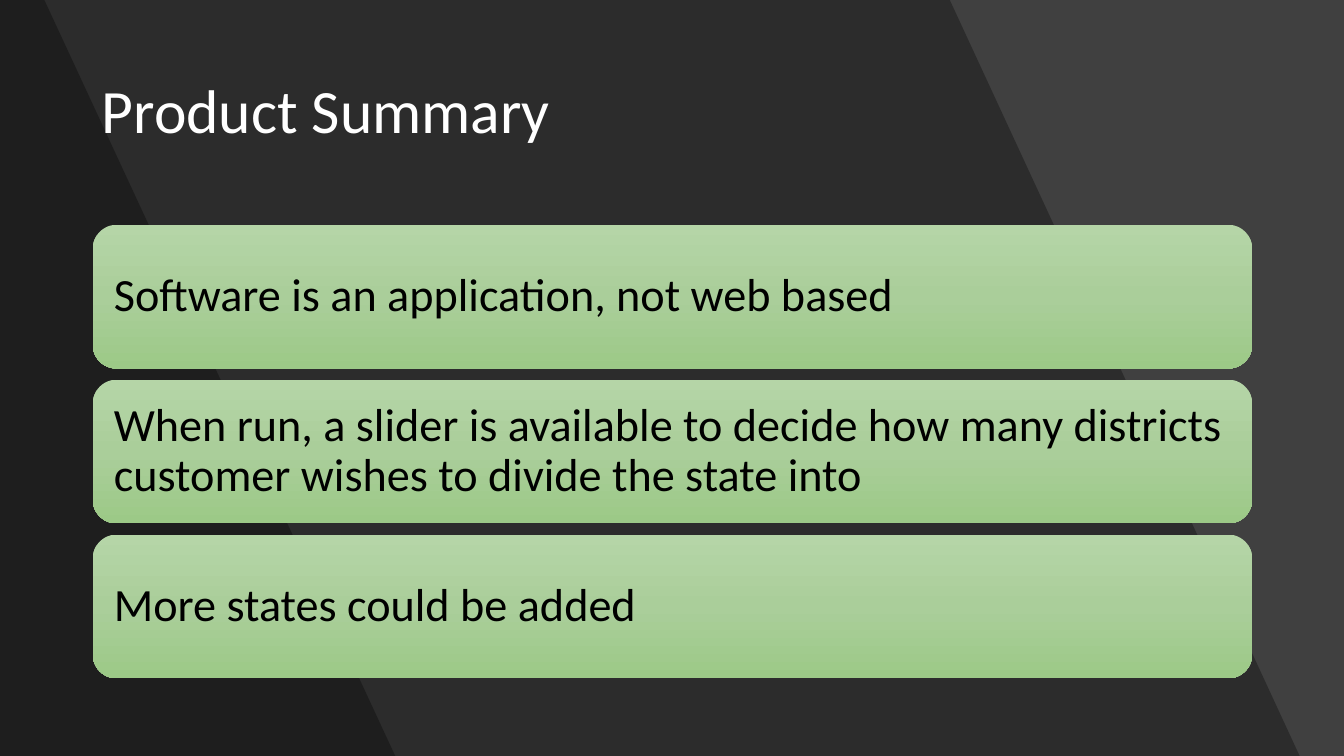
from copy import deepcopy

from lxml import etree
from pptx import Presentation
from pptx.dml.color import RGBColor
from pptx.enum import shapes, text
from pptx.oxml.ns import qn
from pptx.util import Inches, Pt

BACKGROUND = RGBColor(0x40, 0x40, 0x40)
BLACK = RGBColor(0, 0, 0)
WHITE = RGBColor(0xFF, 0xFF, 0xFF)
GREENS = [
    (0, RGBColor(0xB5, 0xD5, 0xA7)),
    (0.5, RGBColor(0xAA, 0xCE, 0x9A)),
    (1, RGBColor(0x9C, 0xC9, 0x87)),
]
FONT = "Calibri"
SUMMARY = [
    "Software is an application, not web based",
    "When run, a slider is available to decide how many districts "
    "customer wishes to divide the state into",
    "More states could be added",
]


def format_paragraph(paragraph, size, color):
    paragraph.line_spacing = 0.9
    paragraph.alignment = text.PP_ALIGN.LEFT
    for run in paragraph.runs:
        run.font.name = FONT
        run.font.size = Pt(size)
        run.font.color.rgb = color


def add_shade(slide, top_width, bottom_width, height):
    outline = slide.shapes.build_freeform(0, 0, scale=1.0)
    outline.add_line_segments([
        (Inches(top_width), 0),
        (Inches(bottom_width), Inches(height)),
        (0, Inches(height)),
    ])
    shade = outline.convert_to_shape()
    shade.shadow.inherit = False
    shade.line.fill.background()
    shade.fill.solid()
    shade.fill.fore_color.rgb = BLACK
    color = shade.fill._xPr.find(".//" + qn("a:srgbClr"))
    etree.SubElement(color, qn("a:alpha"), val="30000")


def add_title(slide, left, top, width, height):
    title = slide.shapes.title
    slide.shapes._spTree.append(title._element)
    title.left, title.top = Inches(left), Inches(top)
    title.width, title.height = Inches(width), Inches(height)
    frame = title.text_frame
    frame.text = "Product Summary"
    frame.vertical_anchor = text.MSO_ANCHOR.MIDDLE
    format_paragraph(frame.paragraphs[0], 44, WHITE)


def fill_green(card):
    card.fill.gradient()
    card.fill.gradient_angle = 270
    stop_list = card.fill._xPr.find(".//" + qn("a:gsLst"))
    stop_list.append(deepcopy(stop_list[-1]))
    for stop, (position, color) in zip(card.fill.gradient_stops, GREENS):
        stop.position = position
        stop.color.rgb = color


def add_card(slide, left, top, width, height, statement):
    card = slide.shapes.add_shape(
        shapes.MSO_SHAPE.ROUNDED_RECTANGLE,
        Inches(left), Inches(top), Inches(width), Inches(height))
    card.shadow.inherit = False
    card.line.fill.background()
    fill_green(card)
    frame = card.text_frame
    frame.text = statement
    frame.word_wrap = True
    frame.vertical_anchor = text.MSO_ANCHOR.MIDDLE
    frame.margin_left = frame.margin_right = Inches(0.14)
    frame.margin_top = frame.margin_bottom = Inches(0.14)
    format_paragraph(frame.paragraphs[0], 33, BLACK)


def add_summary(slide, left, top, width, height, gap=0.11):
    card_height = (height - gap * (len(SUMMARY) - 1)) / len(SUMMARY)
    for row, statement in enumerate(SUMMARY):
        card_top = top + row * (card_height + gap)
        add_card(slide, left, card_top, width, card_height, statement)


def main():
    deck = Presentation()
    deck.slide_width, deck.slide_height = Inches(13.33), Inches(7.5)
    slide = deck.slides.add_slide(deck.slide_layouts[5])
    slide.background.fill.solid()
    slide.background.fill.fore_color.rgb = BACKGROUND
    add_shade(slide, 9.42, 12.89, 7.5)
    add_shade(slide, 0.44, 3.92, 7.5)
    add_title(slide, 0.91, 0.4, 11.51, 1.45)
    add_summary(slide, 0.92, 2.23, 11.5, 4.5)
    deck.save("out.pptx")


if __name__ == "__main__":
    main()
